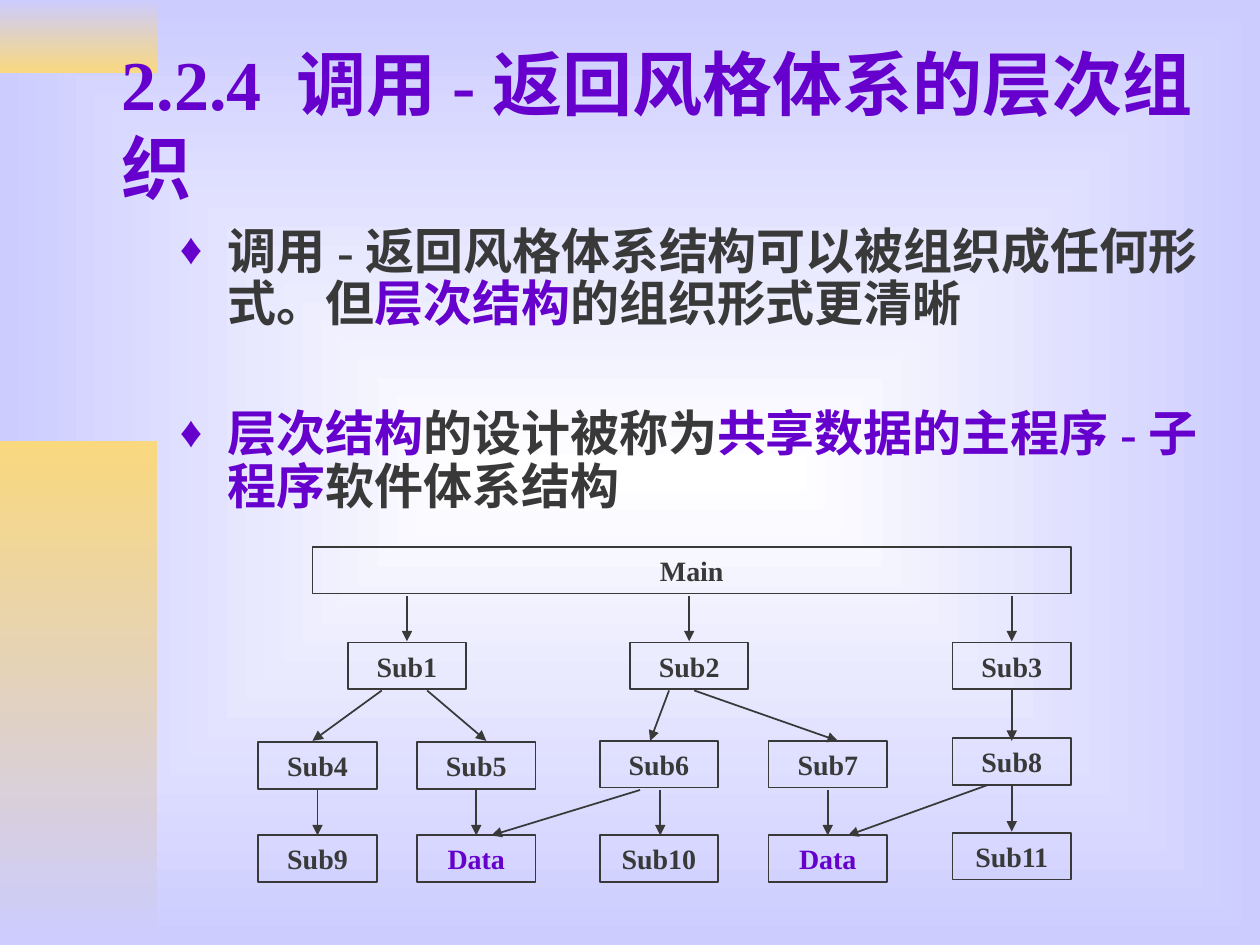
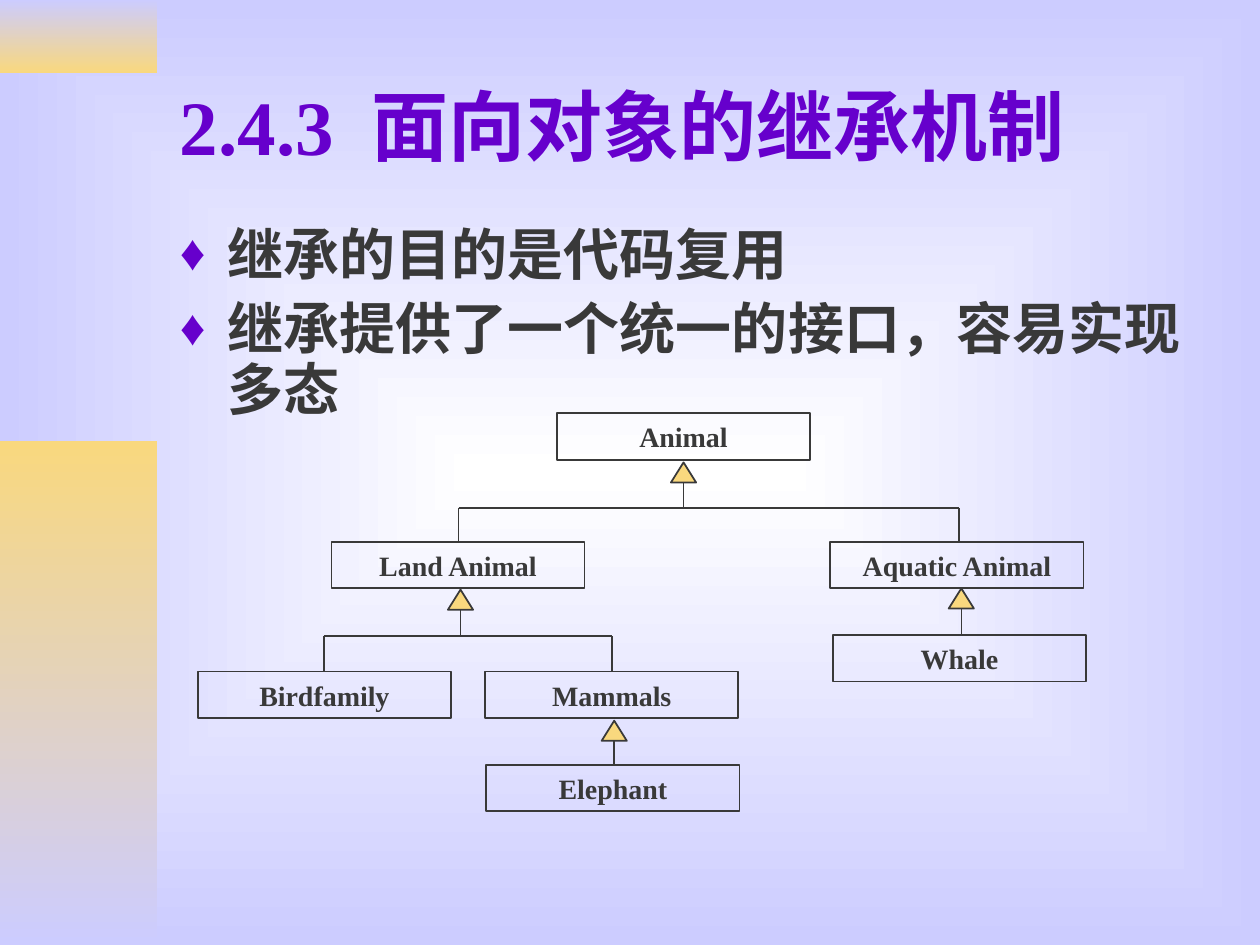
from dataclasses import dataclass

from lxml.etree import SubElement as Sub
from pptx import Presentation
from pptx.dml.color import RGBColor as Rgb
from pptx.enum.shapes import MSO_CONNECTOR as Link, MSO_SHAPE as Form
from pptx.enum.text import MSO_ANCHOR as Anchor, PP_ALIGN as Align
from pptx.oxml.ns import qn
from pptx.util import Inches, Pt

COLS, ROWS = 100, 75


@dataclass(frozen=True)
class Theme:
    font: str = "Times New Roman"
    ink: str = "393939"
    accent: str = "6600CC"
    gold: str = "F9D87E"
    lilac: str = "CCCCFF"
    white: str = "FFFFFF"
    label: int = 16
    line: int = 1


class Deck:
    def __init__(self, theme):
        self.theme = theme
        self.file = Presentation()
        self.file.slide_width = Inches(10)
        self.file.slide_height = Inches(7.5)
        self.col = self.file.slide_width / COLS
        self.row = self.file.slide_height / ROWS
        self.slide = None

    def place(self, x, y, wide, high):
        return (round(x * self.col), round(y * self.row),
                round(wide * self.col), round(high * self.row))

    def blend(self, fill, first, last):
        fill.gradient()
        for stop, color in zip(fill.gradient_stops, (first, last)):
            stop.color.rgb = Rgb.from_string(color)

    def page(self):
        theme = self.theme
        self.slide = self.file.slides.add_slide(self.file.slide_layouts[6])
        self.blend(self.slide.background.fill, theme.white, theme.lilac)
        lin = next(self.slide.element.iter(qn("a:lin")))
        grad = lin.getparent()
        grad.remove(lin)
        glow = Sub(grad, qn("a:path"), path="rect")
        Sub(glow, qn("a:fillToRect"), dict.fromkeys("ltrb", "50000"))
        self.band(0, 5.8, theme.lilac, theme.gold)
        self.band(35, 40, theme.gold, theme.lilac)

    def shape(self, form, x, y, wide, high):
        shape = self.slide.shapes.add_shape(form, *self.place(x, y, wide, high))
        shape.shadow.inherit = False
        return shape

    def band(self, y, high, first, last):
        band = self.shape(Form.RECTANGLE, 0, y, 12.5, high)
        self.blend(band.fill, first, last)
        band.fill.gradient_angle = 270
        band.line.fill.background()

    def style(self, run, size, color):
        run.font.name = self.theme.font
        run.font.size = Pt(size)
        run.font.bold = True
        run.font.color.rgb = Rgb.from_string(color)

    def text(self, x, y, wide, high):
        box = self.slide.shapes.add_textbox(*self.place(x, y, wide, high))
        box.text_frame.word_wrap = True
        return box.text_frame

    def title(self, words, x, wide, size):
        frame = self.text(x, 3.3, wide, 13.2)
        frame.vertical_anchor = Anchor.MIDDLE
        frame.text = words
        self.style(frame.paragraphs[0].runs[0], size, self.theme.accent)

    def bullet(self, para):
        props = para._p.get_or_add_pPr()
        props.set("marL", str(Inches(0.38)))
        props.set("indent", str(-Inches(0.38)))
        tint = Sub(props, qn("a:buClr"))
        Sub(tint, qn("a:srgbClr"), val=self.theme.accent)
        Sub(props, qn("a:buSzPct"), val="90000")
        Sub(props, qn("a:buFont"), typeface=self.theme.font)
        Sub(props, qn("a:buChar"), char="♦")

    def points(self, items, high, size, gap):
        frame = self.text(13.3, 17.5, 85, high)
        for at, item in enumerate(items):
            para = frame.add_paragraph() if at else frame.paragraphs[0]
            self.bullet(para)
            para.line_spacing = 0.9
            if at:
                para.space_before = Pt(gap)
            for turn, part in enumerate(item.split("|")):
                if part:
                    run = para.add_run()
                    run.text = part
                    color = self.theme.accent if turn % 2 else self.theme.ink
                    self.style(run, size, color)

    def edge(self, shape):
        shape.line.color.rgb = Rgb.from_string(self.theme.ink)
        shape.line.width = Pt(self.theme.line)

    def node(self, words, x, y, wide, color=None):
        node = self.shape(Form.RECTANGLE, x, y, wide, 3.7)
        node.fill.background()
        self.edge(node)
        frame = node.text_frame
        frame.vertical_anchor = Anchor.MIDDLE
        frame.text = words
        para = frame.paragraphs[0]
        para.alignment = Align.CENTER
        self.style(para.runs[0], self.theme.label, color or self.theme.ink)

    def join(self, x, y, to_x, to_y, arrow=False):
        ends = self.place(x, y, to_x, to_y)
        line = self.slide.shapes.add_connector(Link.STRAIGHT, *ends)
        self.edge(line)
        props = line.element.spPr
        if arrow:
            Sub(props.find(qn("a:ln")), qn("a:tailEnd"), type="triangle")
        Sub(props, qn("a:effectLst"))

    def heir(self, x, y):
        head = self.shape(Form.ISOSCELES_TRIANGLE, x - 1, y, 2, 1.6)
        head.fill.solid()
        head.fill.fore_color.rgb = Rgb.from_string(self.theme.gold)
        self.edge(head)
        self.join(x, y + 1.6, x, y + 3.6)

    def fork(self, left, right, y):
        self.join(left, y, right, y)
        for x in (left, right):
            self.join(x, y, x, y + 2.75)


def calls(deck):
    deck.page()
    deck.title("2.2.4 调用-返回风格体系的层次组织", 8.7, 89.7, 40)
    deck.points([
        "调用-返回风格体系结构可以被组织成任何形式。但|层次结构|的组织形式更清晰",
        "|层次结构|的设计被称为|共享数据的主程序-子程序|软件体系结构",
    ], 24.3, 28, 44)
    deck.node("Main", 24.8, 43.4, 60.2)
    nodes = [
        ("Sub1", 27.6, 51), ("Sub2", 50, 51), ("Sub3", 75.6, 51),
        ("Sub4", 20.5, 58.9), ("Sub5", 33.1, 58.9), ("Sub6", 47.6, 58.8),
        ("Sub7", 61, 58.8), ("Sub8", 75.6, 58.6),
        ("Sub9", 20.5, 66.3), ("Data", 33.1, 66.3), ("Sub10", 47.6, 66.3),
        ("Data", 61, 66.3), ("Sub11", 75.6, 66.1),
    ]
    for name, x, y in nodes:
        color = deck.theme.accent if name == "Data" else None
        deck.node(name, x, y, 9.4, color)
    drops = [
        (32.3, 47.3), (54.7, 47.3), (80.3, 47.3),
        (25.2, 62.7), (37.8, 62.7), (52.4, 62.7), (65.7, 62.7), (80.3, 62.4),
    ]
    for x, y in drops:
        deck.join(x, y, x, y + 3.6, True)
    slants = [
        (30.3, 54.8, 24.8), (33.9, 54.8, 38.6), (53.1, 54.8, 51.6),
        (55.1, 54.8, 66.5), (80.3, 54.8, 80.3), (78.4, 62.3, 67.3),
    ]
    for x, y, end in slants:
        deck.join(x, y, end, y + 4, True)
    deck.join(50.8, 62.7, 39, 66.3, True)


def kinds(deck):
    deck.page()
    deck.title("2.4.3 面向对象的继承机制", 13.3, 85, 44)
    deck.points(["继承的目的是代码复用", "继承提供了一个统一的接口，容易实现多态"],
                17.6, 32, 8)
    nodes = [
        ("Animal", 44.2, 32.8), ("Land Animal", 26.3, 43),
        ("Aquatic Animal", 65.9, 43), ("Birdfamily", 15.7, 53.3),
        ("Mammals", 38.5, 53.3), ("Elephant", 38.6, 60.7),
        ("Whale", 66.1, 50.4),
    ]
    for name, x, y in nodes:
        deck.node(name, x, y, 20.1)
    for x, y in [(54.25, 36.7), (36.55, 46.8), (76.3, 46.7), (48.75, 57.2)]:
        deck.heir(x, y)
    deck.fork(36.4, 76.1, 40.3)
    deck.fork(25.7, 48.6, 50.5)


def main():
    deck = Deck(Theme())
    calls(deck)
    kinds(deck)
    deck.file.save("out.pptx")


if __name__ == "__main__":
    main()
